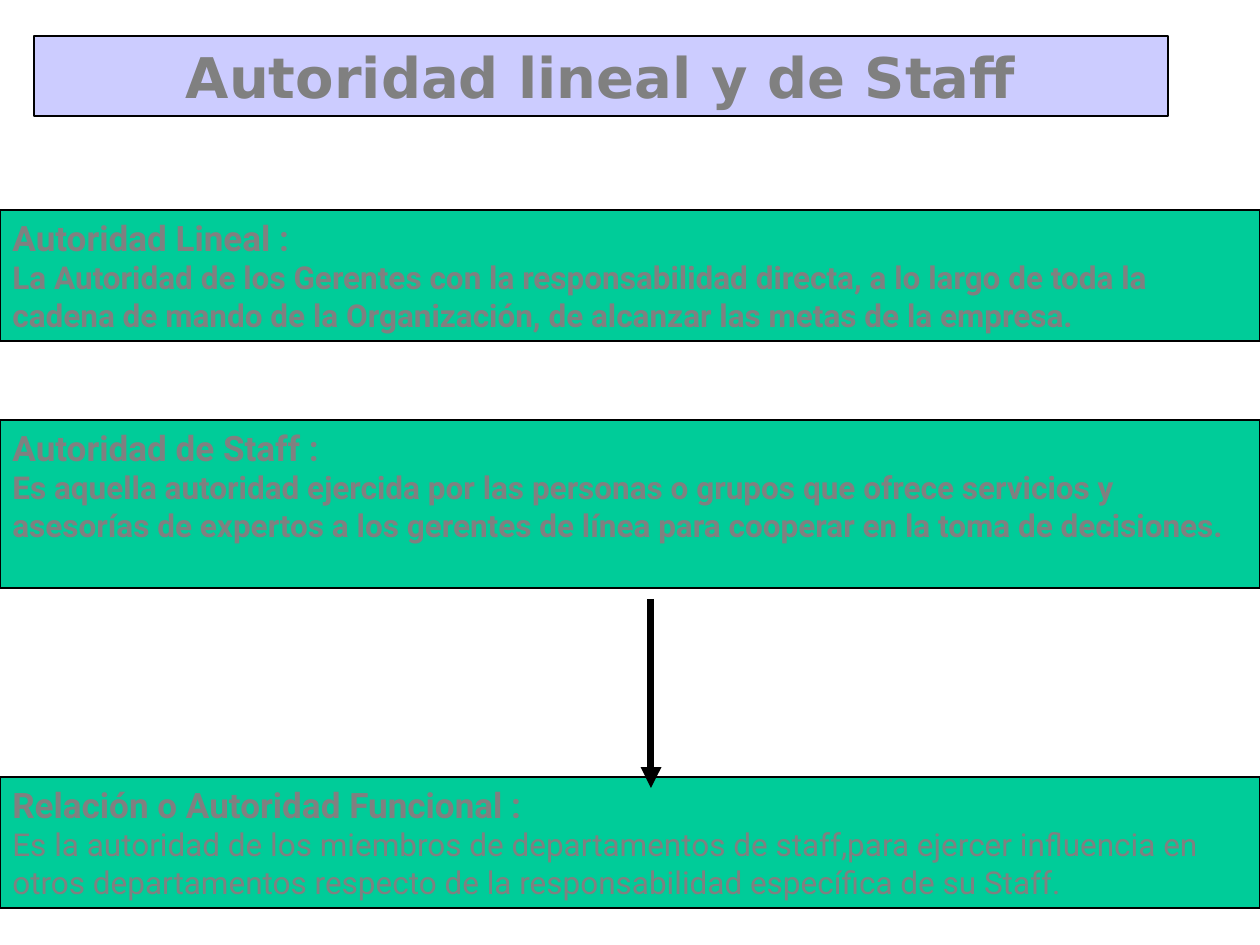
import pptx
import pptx.util
import pptx.dml.color
import pptx.enum.shapes
import pptx.enum.text
import pptx.oxml.ns
from dataclasses import dataclass
from lxml import etree

PX = 914400 / 126  # EMU in one px


def px(*nums):
    return [pptx.util.Emu(round(num * PX)) for num in nums]


@dataclass
class Theme:
    head: str = "DejaVu Sans"
    body: str = "Roboto"
    ink: str = "808080"
    line: str = "000000"
    lilac: str = "CCCCFF"
    green: str = "00CC99"
    big: int = 32
    term: int = 20
    text: int = 18


class Deck:
    def __init__(self, theme):
        self.theme = theme
        self.file = pptx.Presentation()
        self.file.slide_width, self.file.slide_height = px(1260, 945)
        self.slide = self.file.slides.add_slide(self.file.slide_layouts[5])

    def color(self, code):
        return pptx.dml.color.RGBColor.from_string(code)

    def paint(self, shape, fill, width):
        shape.fill.solid()
        shape.fill.fore_color.rgb = self.color(fill)
        shape.line.color.rgb = self.color(self.theme.line)
        shape.line.width = pptx.util.Pt(width)

    def frame(self, shape, anchor):
        frame = shape.text_frame
        frame.word_wrap = True
        frame.auto_size = pptx.enum.text.MSO_AUTO_SIZE.NONE
        frame.vertical_anchor = anchor
        return frame

    def run(self, para, text, font, size, bold=True):
        run = para.add_run()
        run.text = text
        run.font.name = font
        run.font.size = pptx.util.Pt(size)
        run.font.bold = bold
        run.font.color.rgb = self.color(self.theme.ink)

    def title(self, text, left, top, width, height):
        shape = self.slide.shapes.title
        shape.left, shape.top, shape.width, shape.height = px(left, top, width, height)
        self.paint(shape, self.theme.lilac, 0.75)
        para = self.frame(shape, pptx.enum.text.MSO_ANCHOR.MIDDLE).paragraphs[0]
        para.alignment = pptx.enum.text.PP_ALIGN.CENTER
        self.run(para, text, self.theme.head, self.theme.big)

    def panel(self, top, height, term, text, bold):
        shape = self.slide.shapes.add_shape(
            pptx.enum.shapes.MSO_SHAPE.RECTANGLE, *px(0, top, 1260, height))
        shape.shadow.inherit = False
        self.paint(shape, self.theme.green, 1.25)
        frame = self.frame(shape, pptx.enum.text.MSO_ANCHOR.TOP)
        first, second = frame.paragraphs[0], frame.add_paragraph()
        for para in (first, second):
            para.alignment = pptx.enum.text.PP_ALIGN.LEFT
        self.run(first, term, self.theme.body, self.theme.term)
        self.run(second, text, self.theme.body, self.theme.text, bold)

    def arrow(self, *ends):
        line = self.slide.shapes.add_connector(
            pptx.enum.shapes.MSO_CONNECTOR.STRAIGHT, *px(*ends))
        line.line.color.rgb = self.color(self.theme.line)
        line.line.width = pptx.util.Pt(4)
        tip = etree.SubElement(line.line._get_or_add_ln(), pptx.oxml.ns.qn("a:tailEnd"))
        tip.set("type", "triangle")
        etree.SubElement(line._element.spPr, pptx.oxml.ns.qn("a:effectLst"))


def main():
    deck = Deck(Theme())

    # Title bar
    deck.title("Autoridad lineal y de Staff", 34, 36, 1134, 80)

    # Kinds of authority: top, height, term, definition, bold definition
    panels = [
        (210, 131, "Autoridad Lineal :",
         "La Autoridad de los Gerentes con la responsabilidad directa, a lo largo de toda la "
         "cadena de mando de la Organización, de alcanzar las metas de la empresa.", True),
        (420, 168, "Autoridad de Staff :",
         "Es aquella autoridad ejercida por las personas o grupos que ofrece servicios y "
         "asesorías de expertos a los gerentes de línea para cooperar en la toma de "
         "decisiones.", True),
        (777, 131, "Relación o Autoridad Funcional :",
         "Es la autoridad de los miembros de departamentos de staff,para ejercer influencia en "
         "otros departamentos respecto de la responsabilidad específica de su Staff.", False),
    ]
    for panel in panels:
        deck.panel(*panel)

    # Arrow from staff to functional authority
    deck.arrow(651, 599, 651, 788)

    deck.file.save("out.pptx")


if __name__ == "__main__":
    main()
